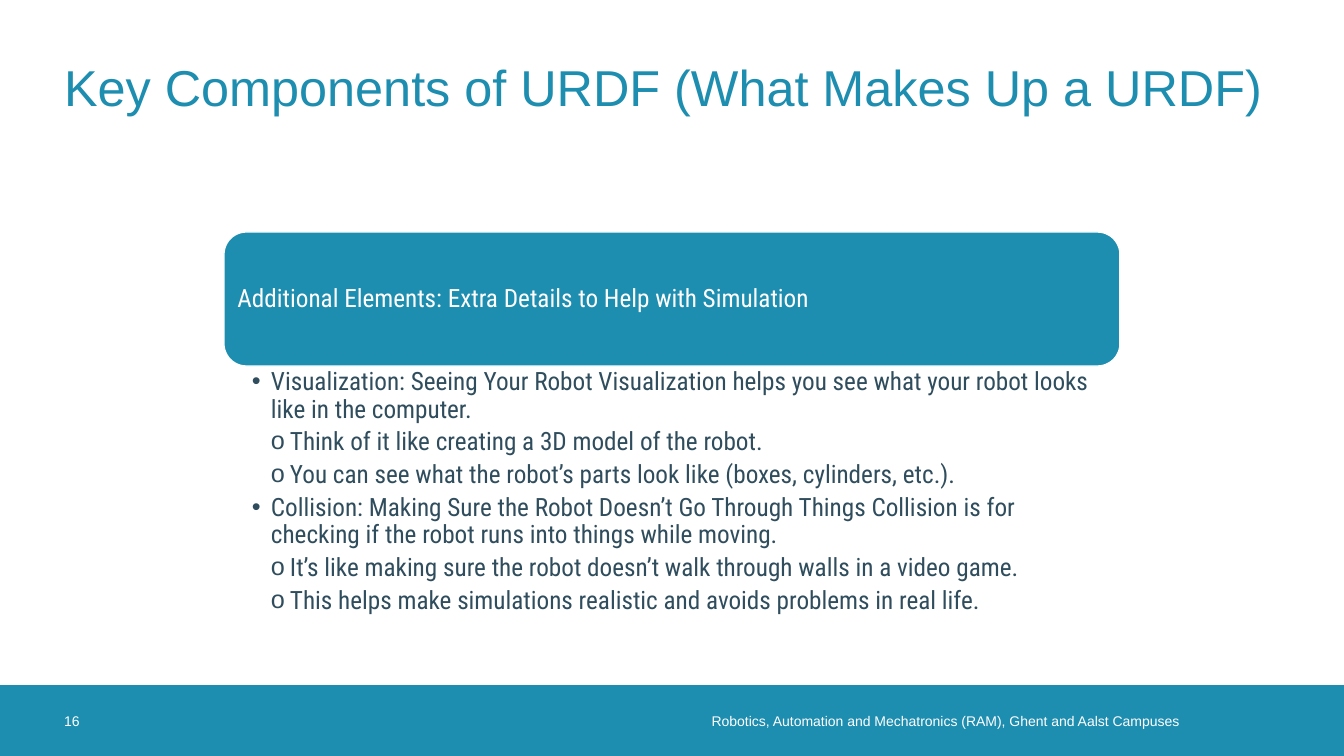
from lxml.etree import SubElement
from pptx import Presentation
from pptx.dml.color import RGBColor
from pptx.enum.shapes import MSO_SHAPE
from pptx.enum.text import MSO_ANCHOR, MSO_AUTO_SIZE, PP_ALIGN
from pptx.oxml.ns import qn
from pptx.util import Pt

PX = 914400 / 100.8
TEAL = RGBColor(0x1D, 0x8D, 0xB0)
SLATE = RGBColor(0x2F, 0x4D, 0x5D)
WHITE = RGBColor(0xFF, 0xFF, 0xFF)
BODY = "Roboto Condensed"


def px(*nums):
    return [round(n * PX) for n in nums]


def write(shape, *lines, size, color, font="Arial", align=PP_ALIGN.LEFT,
          anchor=MSO_ANCHOR.MIDDLE, pad=(0, 0, 0, 0), space=None, after=0):
    """Fill a shape with lines; a (level, text) pair becomes a bullet."""
    frame = shape.text_frame
    frame.word_wrap = True
    frame.auto_size = MSO_AUTO_SIZE.NONE
    frame.vertical_anchor = anchor
    (frame.margin_left, frame.margin_top,
     frame.margin_right, frame.margin_bottom) = px(*pad)
    for i, line in enumerate(lines):
        level, text = line if isinstance(line, tuple) else (0, line)
        para = frame.paragraphs[0] if i == 0 else frame.add_paragraph()
        para.alignment = align
        para.line_spacing = space
        para.space_before, para.space_after = Pt(0), Pt(after)
        run = para.add_run()
        run.text = text
        run.font.size, run.font.name = Pt(size), font
        run.font.color.rgb = color
        if level:
            para.level = level
            props = para._p.get_or_add_pPr()
            left, hang = px(19 * level, -19)
            props.set("marL", str(left))
            props.set("indent", str(hang))
            SubElement(props, qn("a:buFont")).set("typeface", "Arial")
            SubElement(props, qn("a:buChar")).set("char", "•" if level == 1 else "o")


deck = Presentation()
deck.slide_width, deck.slide_height = px(1344, 756)
slide = deck.slides.add_slide(deck.slide_layouts[5])
shapes = slide.shapes

# Title
title = shapes.title
title.left, title.top, title.width, title.height = px(64, 23, 1217, 127)
write(title, "Key Components of URDF (What Makes Up a URDF)", size=36, color=TEAL)

# Footer band
band = shapes.add_shape(MSO_SHAPE.RECTANGLE, *px(0, 685, 1344, 71))
band.shadow.inherit = False
band.fill.solid()
band.fill.fore_color.rgb = TEAL
band.line.fill.background()
write(shapes.add_textbox(*px(665, 685, 534, 71)),
      "Robotics, Automation and Mechatronics (RAM), Ghent and Aalst Campuses",
      size=10, color=WHITE, align=PP_ALIGN.RIGHT, pad=(0, 0, 20, 0))
write(shapes.add_textbox(*px(64, 685, 71, 71)), "16", size=10, color=WHITE)

# Heading box
head = shapes.add_shape(MSO_SHAPE.ROUNDED_RECTANGLE, *px(224, 232, 896, 134))
head.shadow.inherit = False
head.fill.solid()
head.fill.fore_color.rgb = TEAL
head.line.color.rgb = WHITE
head.line.width = Pt(1)
write(head, "Additional Elements: Extra Details to Help with Simulation",
      size=18, color=WHITE, font=BODY, pad=(7, 7, 7, 7), space=0.9)

# Details
write(shapes.add_textbox(*px(224, 366, 896, 260)),
      (1, "Visualization: Seeing Your Robot Visualization helps you see "
          "what your robot looks like in the computer."),
      (2, "Think of it like creating a 3D model of the robot."),
      (2, "You can see what the robot’s parts look like (boxes, cylinders, etc.)."),
      (1, "Collision: Making Sure the Robot Doesn’t Go Through Things Collision "
          "is for checking if the robot runs into things while moving."),
      (2, "It’s like making sure the robot doesn’t walk through walls in a video game."),
      (2, "This helps make simulations realistic and avoids problems in real life."),
      size=18, color=SLATE, font=BODY, anchor=MSO_ANCHOR.TOP,
      pad=(28, 3, 14, 3), space=0.9, after=4)

deck.save("out.pptx")
